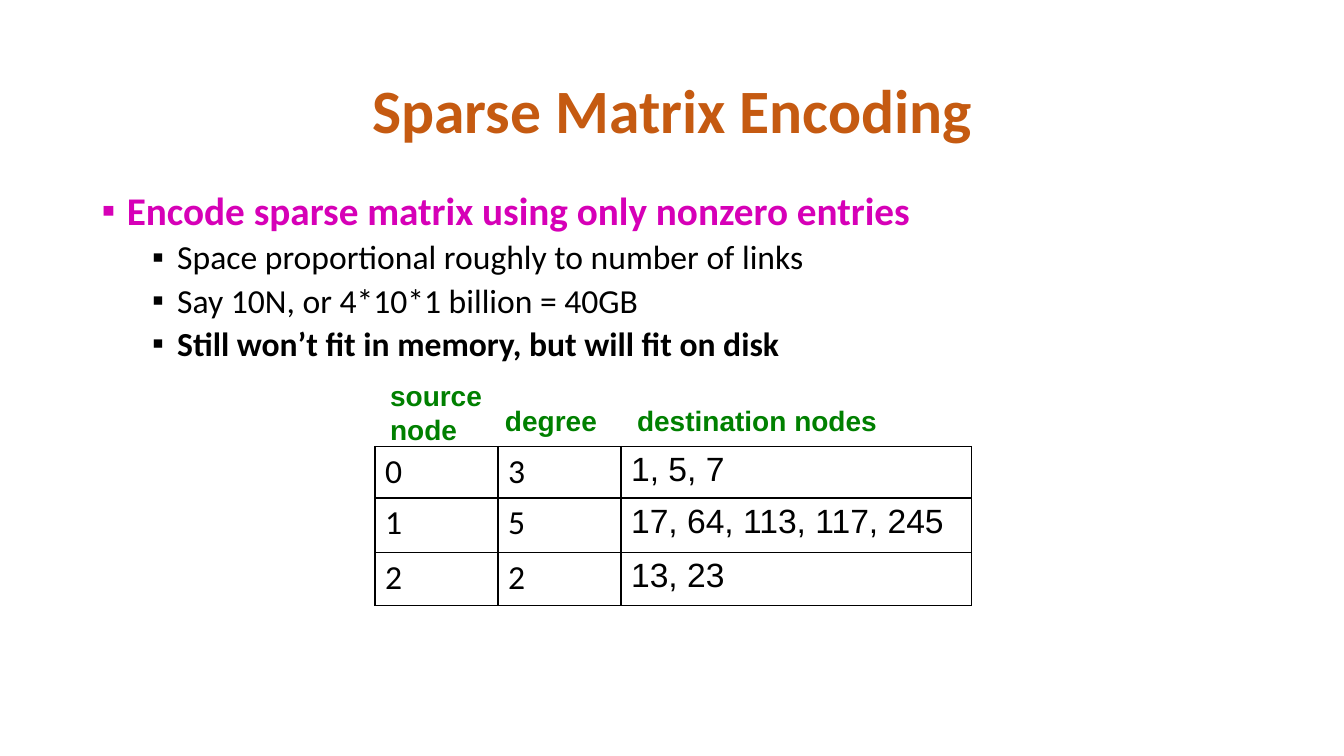
import pptx
import pptx.dml.color
import pptx.enum.text
import pptx.oxml
import pptx.oxml.ns
import pptx.util
from pptx.util import Inches

COLORS = {
    "title": "C55A11",
    "lead": "D600B7",
    "text": "000000",
    "heading": "008000",
    "border": "000000",
}

# Text, level, size, colour, bold
POINTS = [
    ("Encode sparse matrix using only nonzero entries", 0, 28, "lead", True),
    ("Space proportional roughly to number of links", 1, 24, "text", False),
    ("Say 10N, or 4*10*1 billion = 40GB", 1, 24, "text", False),
    ("Still won’t fit in memory, but will fit on disk", 1, 24, "text", True),
]

# Text, left, top, width, height
HEADINGS = [
    ("source\nnode", 3.77, 3.71, 1.12, 0.77),
    ("degree", 4.91, 3.95, 1.12, 0.44),
    ("destination nodes", 6.22, 3.95, 2.6, 0.44),
]

ENTRIES = [
    ("0", "3", "1, 5, 7"),
    ("1", "5", "17, 64, 113, 117, 245"),
    ("2", "2", "13, 23"),
]
COLUMN_WIDTHS = [1.22, 1.22, 3.48]
COLUMN_FONTS = ["Calibri", "Calibri", "Arial"]
ROW_HEIGHTS = [0.51, 0.54, 0.53]


def format_runs(paragraph, size, font, color, bold=False):
    for run in paragraph.runs:
        run.font.size = pptx.util.Pt(size)
        run.font.name = font
        run.font.bold = bold
        run.font.color.rgb = pptx.dml.color.RGBColor.from_string(COLORS[color])


def set_bullet(paragraph, indent):
    properties = paragraph._p.get_or_add_pPr()
    properties.set("marL", str(Inches(indent)))
    properties.set("indent", str(Inches(-0.25)))
    namespace = pptx.oxml.ns.nsdecls("a")
    for tag in ('buFont {} typeface="Arial"', 'buChar {} char="▪"'):
        properties.append(pptx.oxml.parse_xml(f"<a:{tag.format(namespace)}/>"))


def set_borders(cell):
    properties = cell._tc.get_or_add_tcPr()
    for position, side in enumerate("LRTB"):
        properties.insert(position, pptx.oxml.parse_xml(
            f'<a:ln{side} {pptx.oxml.ns.nsdecls("a")} w="{pptx.util.Pt(1)}">'
            f'<a:solidFill><a:srgbClr val="{COLORS["border"]}"/></a:solidFill>'
            f'</a:ln{side}>'))


def set_title(slide, text):
    title = slide.shapes.title
    title.left, title.top = Inches(0.92), Inches(0.4)
    title.width, title.height = Inches(11.5), Inches(1.45)
    frame = title.text_frame
    frame.text = text
    frame.auto_size = pptx.enum.text.MSO_AUTO_SIZE.NONE
    frame.vertical_anchor = pptx.enum.text.MSO_ANCHOR.MIDDLE
    paragraph = frame.paragraphs[0]
    paragraph.alignment = pptx.enum.text.PP_ALIGN.CENTER
    paragraph.line_spacing = 0.9
    format_runs(paragraph, 44, "Calibri", "title", True)


def add_points(slide):
    body = slide.shapes.add_textbox(
        Inches(0.91), Inches(1.85), Inches(11.5), Inches(5.37))
    frame = body.text_frame
    frame.word_wrap = True
    frame.text = "\n".join(point[0] for point in POINTS)
    for paragraph, (_, level, size, color, bold) in zip(frame.paragraphs, POINTS):
        paragraph.level = level
        paragraph.line_spacing = 0.9
        paragraph.space_before = pptx.util.Pt(5 * level)
        set_bullet(paragraph, 0.25 + 0.5 * level)
        format_runs(paragraph, size, "Calibri", color, bold)


def add_entries_table(slide):
    table = slide.shapes.add_table(
        len(ENTRIES), len(COLUMN_WIDTHS), Inches(3.72), Inches(4.43),
        Inches(sum(COLUMN_WIDTHS)), Inches(sum(ROW_HEIGHTS))).table
    table.first_row = False
    table.horz_banding = False
    for column, width in zip(table.columns, COLUMN_WIDTHS):
        column.width = Inches(width)
    for row, height, entry in zip(table.rows, ROW_HEIGHTS, ENTRIES):
        row.height = Inches(height)
        for cell, value, font in zip(row.cells, entry, COLUMN_FONTS):
            cell.text = value
            cell.fill.background()
            set_borders(cell)
            format_runs(cell.text_frame.paragraphs[0], 24, font, "text")


def add_heading(slide, text, *bounds):
    heading = slide.shapes.add_textbox(*map(Inches, bounds))
    frame = heading.text_frame
    frame.word_wrap = False
    frame.auto_size = pptx.enum.text.MSO_AUTO_SIZE.SHAPE_TO_FIT_TEXT
    frame.text = text
    for paragraph in frame.paragraphs:
        format_runs(paragraph, 20, "Arial", "heading", True)


def main():
    presentation = pptx.Presentation()
    presentation.slide_width = Inches(13.33)
    presentation.slide_height = Inches(7.5)
    slide = presentation.slides.add_slide(presentation.slide_layouts[5])
    set_title(slide, "Sparse Matrix Encoding")
    add_points(slide)
    add_entries_table(slide)
    for heading in HEADINGS:
        add_heading(slide, *heading)
    presentation.save("out.pptx")


if __name__ == "__main__":
    main()
